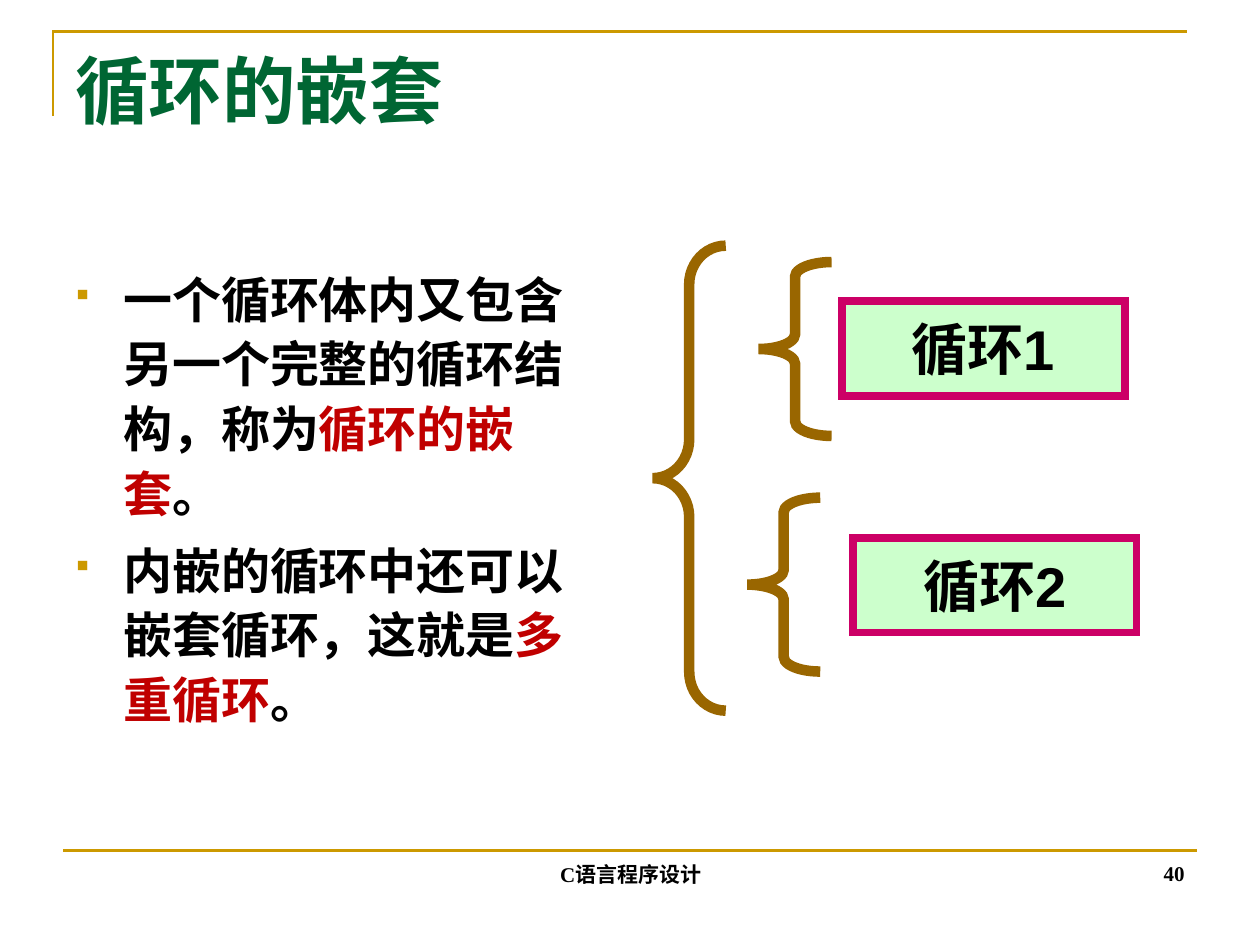
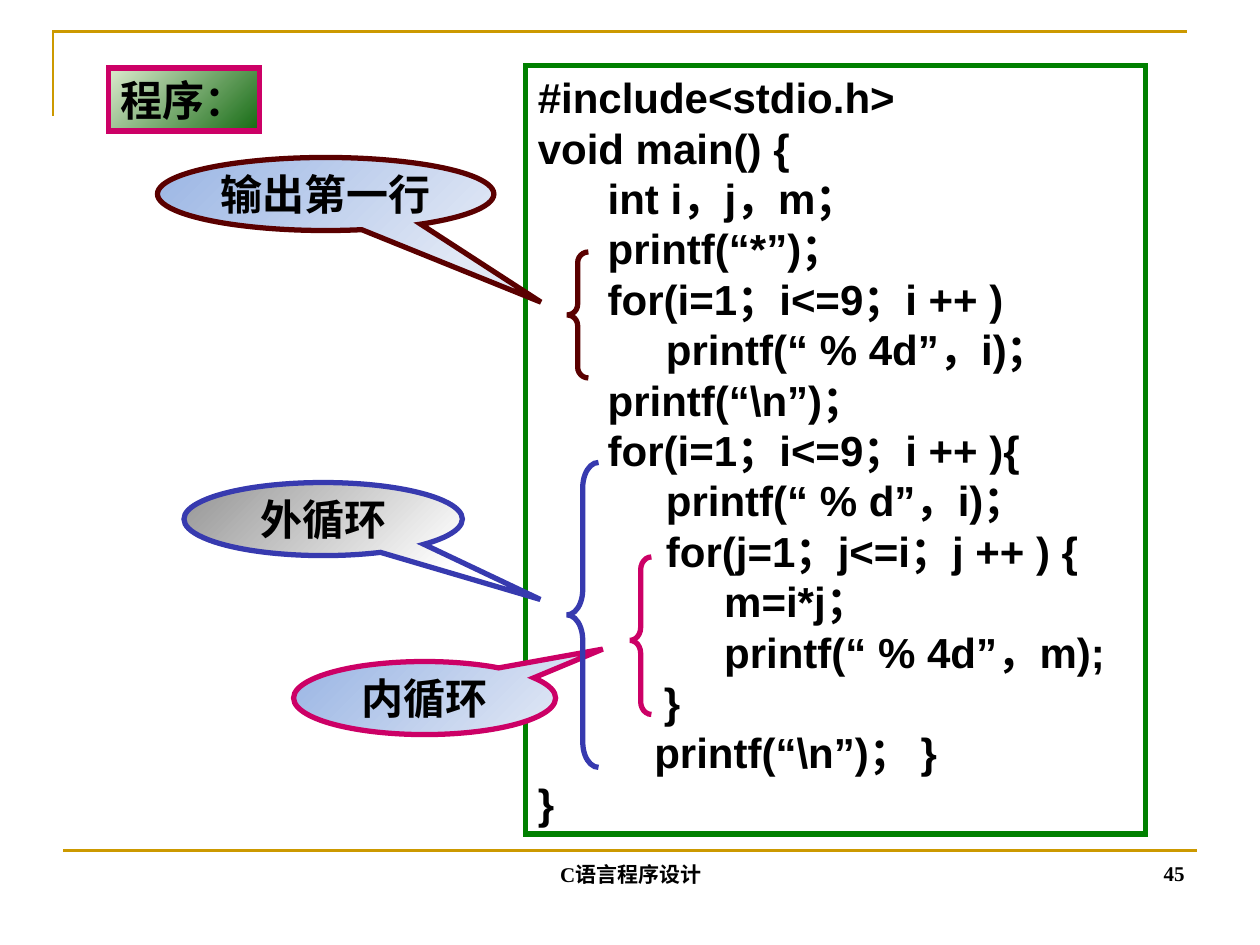
"""Builds two slides about nested loops in C."""
from dataclasses import dataclass
from typing import Optional

from lxml import etree
from pptx import Presentation
from pptx import util as u
from pptx.dml import color as dml
from pptx.enum import shapes, text
from pptx.oxml import ns

COLORS = {
    "gold": "CC9900", "brown": "996600", "green": "006633", "frame": "008000",
    "mint": "CCFFCC", "pink": "CC0066", "maroon": "5A0000", "indigo": "373AAF",
    "red": "C00000", "black": "000000", "white": "FFFFFF",
    "leaf_light": "DDEBCF", "leaf_dark": "156B13",
    "sky_dark": "9AB5E4", "sky_light": "E1E8F5", "gray": "959595",
}
SANS, SERIF = "Arial", "Times New Roman"
LEFT, CENTER, RIGHT = text.PP_ALIGN.LEFT, text.PP_ALIGN.CENTER, text.PP_ALIGN.RIGHT
TOP, MIDDLE, BOTTOM = text.MSO_ANCHOR.TOP, text.MSO_ANCHOR.MIDDLE, text.MSO_ANCHOR.BOTTOM
LEAF, SKY, SMOKE = ("leaf_light", "leaf_dark"), ("sky_dark", "sky_light"), ("gray", "white")


@dataclass
class Style:
    size: float
    font: str = SANS
    color: str = "black"
    align: int = LEFT
    anchor: int = TOP
    wrap: bool = True


@dataclass
class Panel:
    left: float
    top: float
    width: float
    height: float
    fill: tuple
    line: str
    weight: float
    lines: list
    style: Style
    tip: Optional[tuple] = None


@dataclass
class Brace:
    left: float
    top: float
    width: float
    height: float
    color: str
    weight: float
    curl: float
    middle: float = 0.5


TITLE = Style(42, SERIF, "green")
BODY = Style(28)
FOOTER = Style(12, SERIF, align=CENTER, anchor=BOTTOM)
PAGE_NUMBER = Style(12, SERIF, align=RIGHT, anchor=BOTTOM)
LOOP = Style(32, align=CENTER, anchor=MIDDLE, wrap=False)
CALLOUT = Style(24, align=CENTER, anchor=MIDDLE, wrap=False)
LABEL = Style(24, wrap=False)
CODE = Style(24)

NESTING_POINTS = [
    [("一个循环体内又包含另一个完整的循环结构，称为", "black"), ("循环的嵌套", "red"), ("。", "black")],
    [("内嵌的循环中还可以嵌套循环，这就是", "black"), ("多重循环", "red"), ("。", "black")],
]
NESTING_BRACES = [
    Brace(5.18, 1.95, 0.58, 3.69, "brown", 6, 0.53),
    Brace(6.02, 2.08, 0.58, 1.38, "brown", 6, 0.2),
    Brace(5.93, 3.95, 0.58, 1.38, "brown", 6, 0.2),
]
LOOP_BOXES = [
    Panel(left, top, 2.25, 0.75, ("mint",), "pink", 4.5, [name], LOOP)
    for left, top, name in [(6.68, 2.39, "循环1"), (6.77, 4.27, "循环2")]
]
PROGRAM = r"""#include<stdio.h>
void main() {
      int i，j，m；
      printf(“*”)；
      for(i=1；i<=9；i ++ )
           printf(“ % 4d”，i)；
      printf(“\n”)；
      for(i=1；i<=9；i ++ ){
           printf(“ % d”，i)；
           for(j=1；j<=i；j ++ ) {
                m=i*j；
                printf(“ % 4d”，m);
	}
          printf(“\n”)； }
}""".split("\n")
CODE_BOX = Panel(4.17, 0.52, 4.92, 6.1, ("white",), "frame", 3, PROGRAM, CODE)
PROGRAM_LABEL = Panel(0.86, 0.54, 1.2, 0.5, LEAF, "pink", 3, ["程序："], LABEL)
FIRST_ROW = Panel(1.25, 1.25, 2.67, 0.58, SKY, "maroon", 3, ["输出第一行"], CALLOUT, (0.64, 1.48))
INNER_LOOP = Panel(2.33, 5.25, 2.08, 0.58, SKY, "pink", 3, ["内循环"], CALLOUT, (0.68, -0.67))
OUTER_LOOP = Panel(1.46, 3.83, 2.21, 0.58, SMOKE, "indigo", 3, ["外循环"], CALLOUT, (0.78, 1.1))
PROGRAM_PARTS = [
    CODE_BOX, PROGRAM_LABEL, FIRST_ROW,
    Brace(4.5, 2, 0.17, 1, "maroon", 3, 0.5),
    INNER_LOOP,
    Brace(5, 4.42, 0.17, 1.25, "pink", 3, 0.6, 0.53),
    Brace(4.5, 3.67, 0.25, 2.42, "indigo", 3, 0.8),
    OUTER_LOOP,
]


def rgb(name: str) -> dml.RGBColor:
    """Return the named colour."""
    return dml.RGBColor.from_string(COLORS[name])


def set_line(shape, color: str, weight: float) -> None:
    """Give an outline its colour, width and sharp corners."""
    shape.line.color.rgb = rgb(color)
    shape.line.width = u.Pt(weight)
    outline = shape._element.spPr.find(ns.qn("a:ln"))
    etree.SubElement(outline, ns.qn("a:miter"), lim="800000")


def set_frame(frame, style: Style) -> None:
    """Set wrapping, anchor and margins of a text frame."""
    frame.word_wrap = style.wrap
    frame.vertical_anchor = style.anchor
    frame.margin_left = frame.margin_right = u.Inches(0.1)
    frame.margin_top = frame.margin_bottom = u.Inches(0.05)


def add_span(para, words: str, style: Style, color: str) -> None:
    """Add one run of bold text."""
    span = para.add_run()
    span.text = words
    span.font.size = u.Pt(style.size)
    span.font.name = style.font
    span.font.bold = True
    span.font.color.rgb = rgb(color)


def add_tab_stop(para) -> None:
    """Put a left tab stop at one inch."""
    stops = etree.SubElement(para._p.get_or_add_pPr(), ns.qn("a:tabLst"))
    etree.SubElement(stops, ns.qn("a:tab"), pos=str(u.Inches(1)), algn="l")


def fill_text(frame, paragraphs: list, style: Style) -> None:
    """Write paragraphs, each a string or a list of coloured spans."""
    set_frame(frame, style)
    for index, content in enumerate(paragraphs):
        para = frame.add_paragraph() if index else frame.paragraphs[0]
        para.alignment = style.align
        spans = [(content, style.color)] if isinstance(content, str) else content
        if "\t" in spans[0][0]:
            add_tab_stop(para)
        for words, color in spans:
            add_span(para, words, style, color)


def add_text(page, left: float, top: float, width: float, height: float,
             paragraphs: list, style: Style):
    """Add a text box and return its frame."""
    box = page.shapes.add_textbox(*map(u.Inches, (left, top, width, height)))
    fill_text(box.text_frame, paragraphs, style)
    return box.text_frame


def add_bullet(para) -> None:
    """Give a paragraph a gold square and a hanging indent."""
    props = para._p.get_or_add_pPr()
    props.set("marL", str(u.Inches(0.38)))
    props.set("indent", str(-u.Inches(0.38)))
    props.set("hangingPunct", "0")
    tint = etree.SubElement(props, ns.qn("a:buClr"))
    etree.SubElement(tint, ns.qn("a:srgbClr"), val=COLORS["gold"])
    etree.SubElement(props, ns.qn("a:buSzPct"), val="65000")
    etree.SubElement(props, ns.qn("a:buFont"), typeface="Wingdings", charset="2")
    etree.SubElement(props, ns.qn("a:buChar"), char="§")


def add_brace(page, brace: Brace) -> None:
    """Draw a left brace."""
    shape = page.shapes.add_shape(
        shapes.MSO_SHAPE.LEFT_BRACE,
        *map(u.Inches, (brace.left, brace.top, brace.width, brace.height)))
    shape.shadow.inherit = False
    shape.adjustments[0] = brace.curl
    shape.adjustments[1] = brace.middle
    shape.fill.background()
    set_line(shape, brace.color, brace.weight)


def add_panel(page, panel: Panel) -> None:
    """Draw a rectangle, or a callout if the panel has a tip."""
    kind = shapes.MSO_SHAPE.OVAL_CALLOUT if panel.tip else shapes.MSO_SHAPE.RECTANGLE
    shape = page.shapes.add_shape(
        kind, *map(u.Inches, (panel.left, panel.top, panel.width, panel.height)))
    shape.shadow.inherit = False
    for index, value in enumerate(panel.tip or ()):
        shape.adjustments[index] = value
    if len(panel.fill) == 1:
        shape.fill.solid()
        shape.fill.fore_color.rgb = rgb(panel.fill[0])
    else:
        shape.fill.gradient()
        shape.fill.gradient_angle = 315
        for stop, color in zip(shape.fill.gradient_stops, panel.fill):
            stop.color.rgb = rgb(color)
    set_line(shape, panel.line, panel.weight)
    fill_text(shape.text_frame, panel.lines, panel.style)


def add_page(deck, number: int):
    """Add a page with its corner line, footer rule, footer and number."""
    page = deck.slides.add_slide(deck.slide_layouts[6])
    builder = page.shapes.build_freeform(u.Inches(0.42), u.Inches(0.92))
    builder.add_line_segments(
        [(u.Inches(0.42), u.Inches(0.25)), (u.Inches(9.42), u.Inches(0.25))], close=False)
    corner = builder.convert_to_shape()
    corner.shadow.inherit = False
    corner.fill.background()
    set_line(corner, "gold", 1.5)
    rule = page.shapes.add_connector(
        shapes.MSO_CONNECTOR.STRAIGHT, *map(u.Inches, (0.5, 6.75, 9.5, 6.75)))
    set_line(rule, "gold", 1.5)
    etree.SubElement(rule._element.spPr, ns.qn("a:effectLst"))
    add_text(page, 3.42, 6.59, 3.17, 0.5, ["C语言程序设计"], FOOTER)
    add_text(page, 7.17, 6.58, 2.33, 0.5, [str(number)], PAGE_NUMBER)
    return page


def build_nesting(deck) -> None:
    """Build the page that defines nested loops."""
    page = add_page(deck, 40)
    add_text(page, 0.5, 0.31, 9, 1.25, ["循环的嵌套"], TITLE)
    body = add_text(page, 0.5, 2.04, 4.42, 3.79, NESTING_POINTS, BODY)
    for index, para in enumerate(body.paragraphs):
        para.line_spacing = 1.1
        para.space_before = u.Pt(7 if index else 0)
        add_bullet(para)
    for brace in NESTING_BRACES:
        add_brace(page, brace)
    for panel in LOOP_BOXES:
        add_panel(page, panel)


def build_program(deck) -> None:
    """Build the page with the annotated program."""
    page = add_page(deck, 45)
    for part in PROGRAM_PARTS:
        if isinstance(part, Brace):
            add_brace(page, part)
        else:
            add_panel(page, part)


def main() -> None:
    """Build and save the deck."""
    deck = Presentation()
    deck.slide_width, deck.slide_height = u.Inches(10), u.Inches(7.5)
    build_nesting(deck)
    build_program(deck)
    deck.save("out.pptx")


if __name__ == "__main__":
    main()
